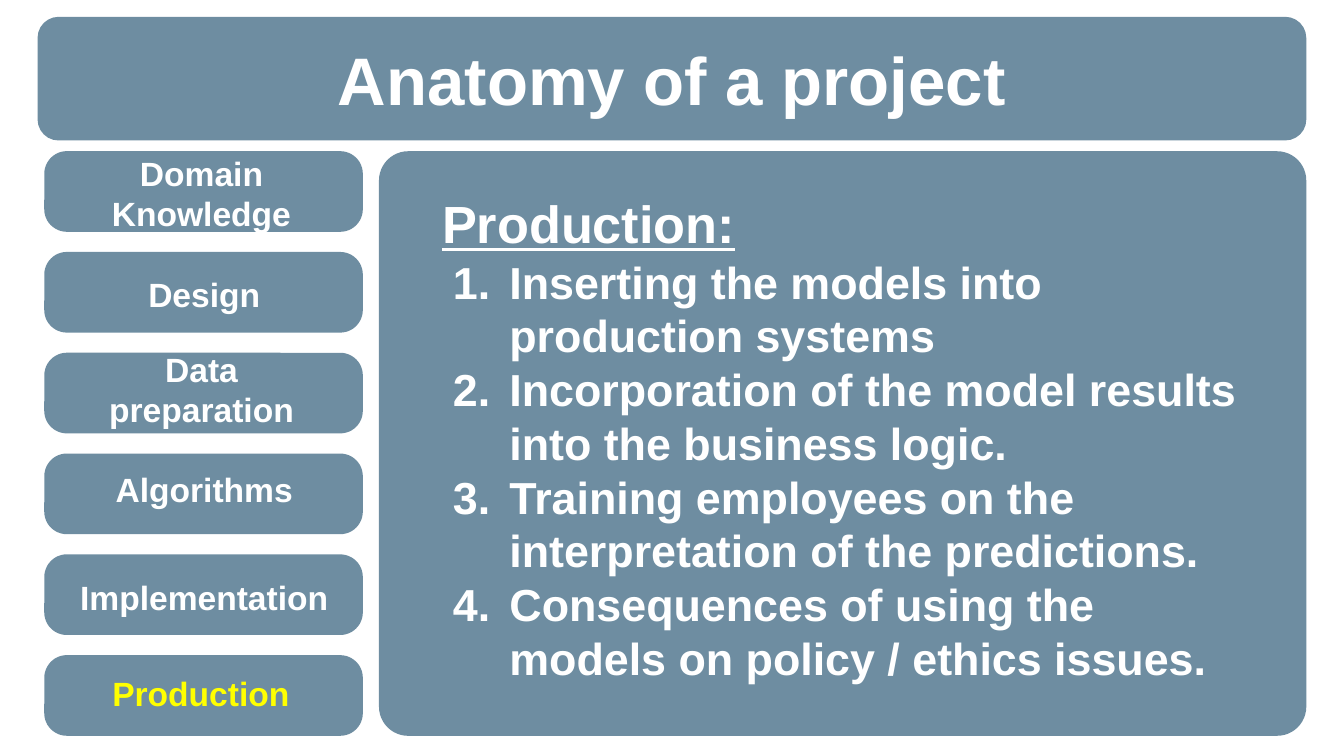
"""Build the "Anatomy of a project" slide with its stage list and detail panel."""
from lxml import etree
from pptx import Presentation
from pptx import util as u
from pptx.dml.color import RGBColor
from pptx.enum import shapes, text
from pptx.oxml.ns import qn

TITLE = "Anatomy of a project"
HEADING = "Production:"
POINTS = [
    "Inserting the models into production systems",
    "Incorporation of the model results into the business logic.",
    "Training employees on the interpretation of the predictions.",
    "Consequences of using the models on policy / ethics issues.",
]
STAGES = [
    ("Domain Knowledge", (50, 223, 500, 128), 0),
    ("Design", (66, 386, 476, 104), 0),
    ("Data preparation", (50, 515, 500, 128), 0.05),
    ("Algorithms", (66, 676, 476, 104), 0.05),
    ("Implementation", (54, 837, 500, 104), 0),
    ("Production", (61, 972, 476, 120), 0),
]
CURRENT_STAGE = "Production"
SLIDE_SIZE = (2000, 1125)
BANNER = (56, 25, 1888, 184)
DETAIL = (564, 225, 1380, 870)
FIRST_TILE = (66, 225, 474, 120)
TILE_PITCH = 150
TITLE_BOX = (66, 57, 1868, 120)
BODY_BOX = (658, 285, 1218, 764)

THEME = {
    "font": "Arial",
    "panel": "215170",
    "opacity": 65,
    "text": "FFFFFF",
    "highlight": "FFFF00",
    "title": 36,
    "heading": 28,
    "point": 24,
    "stage": 18,
}
PX = 4572


def emu(box):
    return [u.Emu(value * PX) for value in box]


def add_panel(slide, box, corner):
    shape = slide.shapes.add_shape(shapes.MSO_SHAPE.ROUNDED_RECTANGLE, *emu(box))
    shape.adjustments[0] = corner
    shape.shadow.inherit = False
    shape.fill.solid()
    shape.fill.fore_color.rgb = RGBColor.from_string(THEME["panel"])
    color = shape.fill._xPr.find(".//" + qn("a:srgbClr"))
    etree.SubElement(color, qn("a:alpha"), val=str(THEME["opacity"] * 1000))
    shape.line.fill.background()


def format_frame(shape, margin, anchor):
    frame = shape.text_frame
    settings = {f"margin_{side}": u.Emu(margin * PX) for side in ("left", "top", "right", "bottom")}
    settings.update(word_wrap=True, auto_size=text.MSO_AUTO_SIZE.NONE, vertical_anchor=anchor)
    for name, value in settings.items():
        setattr(frame, name, value)
    return frame


def write(paragraph, words, size, color="text", align=text.PP_ALIGN.CENTER, underline=False):
    paragraph.alignment = align
    run = paragraph.add_run()
    run.text = words
    settings = {"name": THEME["font"], "size": u.Pt(THEME[size]), "bold": True, "underline": underline}
    for name, value in settings.items():
        setattr(run.font, name, value)
    run.font.color.rgb = RGBColor.from_string(THEME[color])


def number(paragraph):
    properties = paragraph._p.get_or_add_pPr()
    properties.set("marL", str(100 * PX))
    properties.set("indent", str(-84 * PX))
    color = etree.SubElement(properties, qn("a:buClr"))
    etree.SubElement(color, qn("a:srgbClr"), val=THEME["text"])
    etree.SubElement(properties, qn("a:buFont"), typeface=THEME["font"])
    etree.SubElement(properties, qn("a:buAutoNum"), type="arabicPeriod")


def add_title(slide):
    title = slide.shapes.title
    title.left, title.top, title.width, title.height = emu(TITLE_BOX)
    frame = format_frame(title, 0, text.MSO_ANCHOR.MIDDLE)
    write(frame.paragraphs[0], TITLE, "title")
    slide.shapes._spTree.append(title._element)


def add_body(slide):
    frame = format_frame(slide.shapes.add_textbox(*emu(BODY_BOX)), 0, text.MSO_ANCHOR.TOP)
    left = text.PP_ALIGN.LEFT
    write(frame.paragraphs[0], HEADING, "heading", align=left, underline=True)
    for point in POINTS:
        paragraph = frame.add_paragraph()
        write(paragraph, point, "point", align=left)
        number(paragraph)


def add_stage(slide, name, box, slant):
    shape = slide.shapes.add_shape(shapes.MSO_SHAPE.PARALLELOGRAM, *emu(box))
    shape.adjustments[0] = slant
    shape.shadow.inherit = False
    shape.fill.background()
    shape.line.fill.background()
    frame = format_frame(shape, 20, text.MSO_ANCHOR.MIDDLE)
    write(frame.paragraphs[0], name, "stage", "highlight" if name == CURRENT_STAGE else "text")


def main():
    presentation = Presentation()
    presentation.slide_width, presentation.slide_height = emu(SLIDE_SIZE)
    slide = presentation.slides.add_slide(presentation.slide_layouts[5])
    add_panel(slide, BANNER, 0.17)
    add_panel(slide, DETAIL, 0.05)
    left, top, width, height = FIRST_TILE
    for index in range(len(STAGES)):
        add_panel(slide, (left, top + index * TILE_PITCH, width, height), 0.28)
    add_body(slide)
    add_title(slide)
    for stage in STAGES:
        add_stage(slide, *stage)
    presentation.save("out.pptx")


if __name__ == "__main__":
    main()
